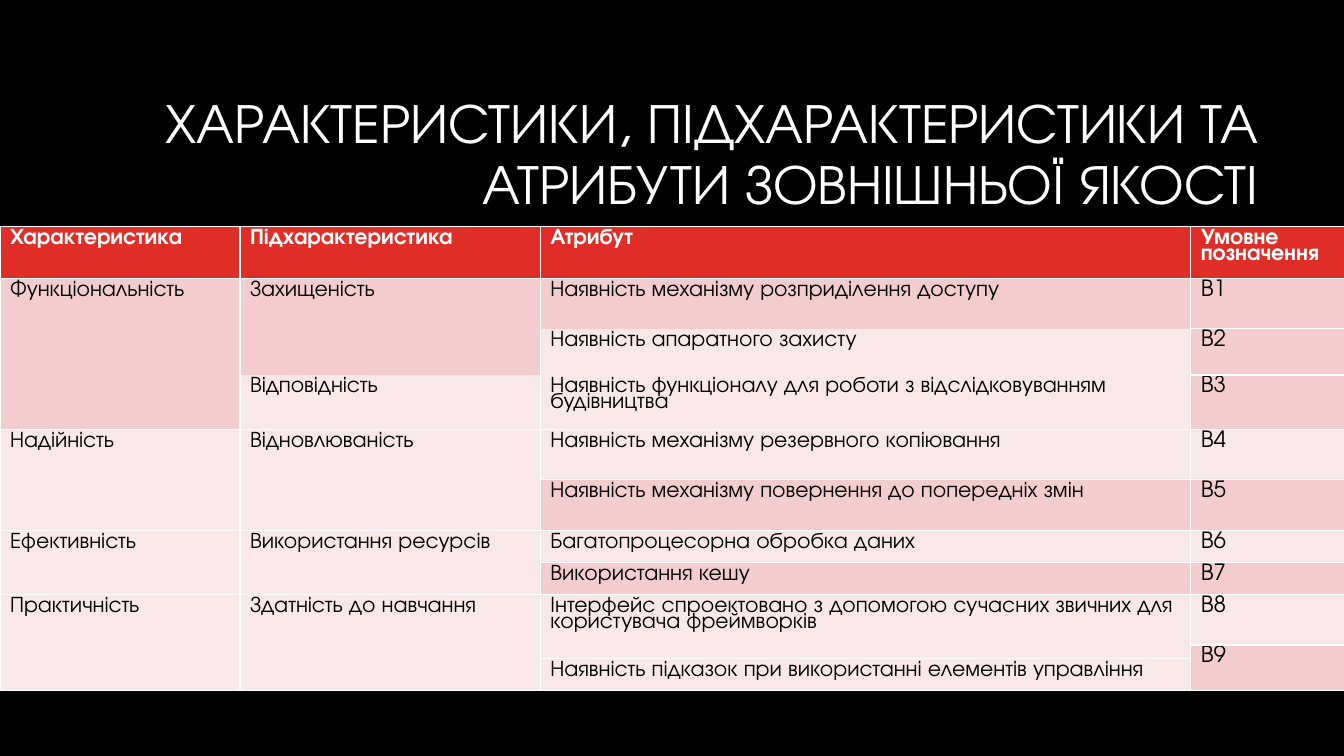
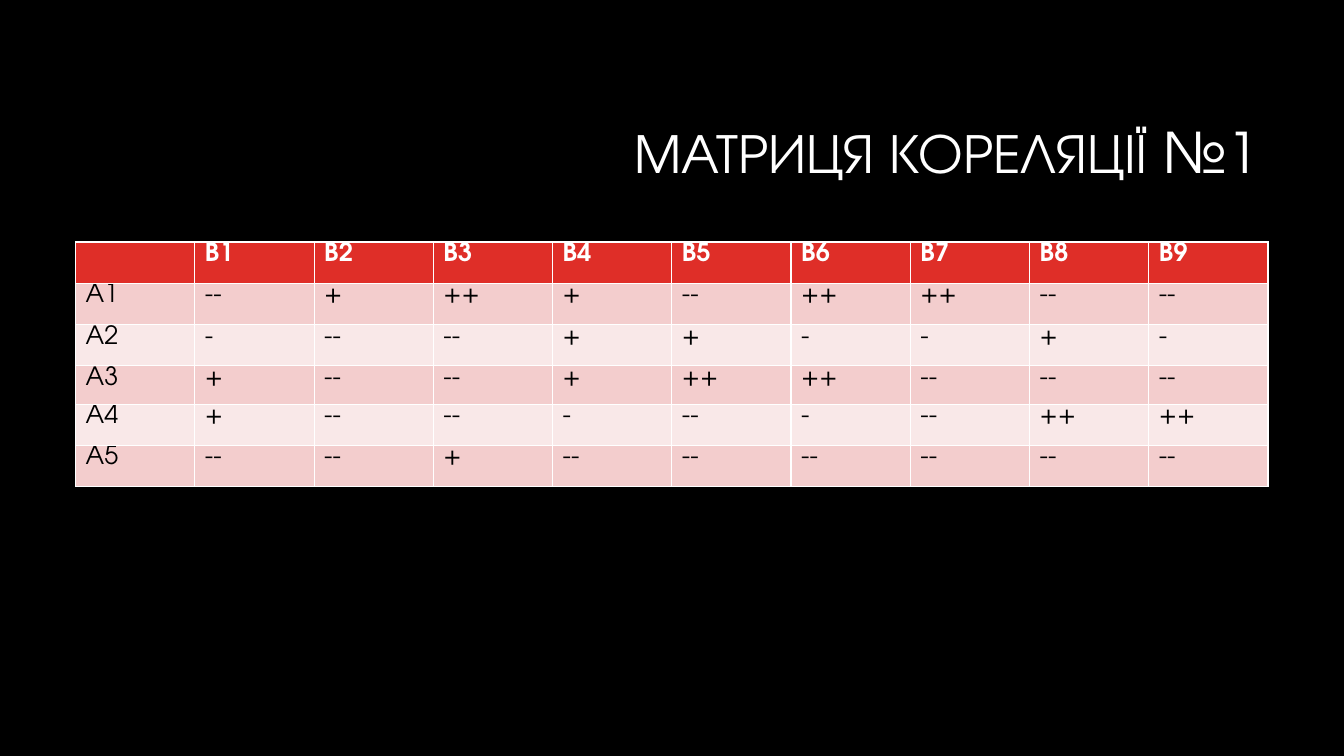
import pptx
import pptx.dml.color
import pptx.enum.text
import pptx.util

Inches = pptx.util.Inches
BLACK = pptx.dml.color.RGBColor(0x00, 0x00, 0x00)
WHITE = pptx.dml.color.RGBColor(0xFF, 0xFF, 0xFF)
RED = pptx.dml.color.RGBColor(0xDF, 0x2E, 0x28)
ROSE = pptx.dml.color.RGBColor(0xF3, 0xCD, 0xCD)
PALE = pptx.dml.color.RGBColor(0xF9, 0xE8, 0xE8)
FONT = "TeX Gyre Adventor"
WIDTH, HEIGHT = 13.33, 7.5
MARGIN = 0.75
CELL_LINE_SPACING = 0.77

presentation = pptx.Presentation()
presentation.slide_width = Inches(WIDTH)
presentation.slide_height = Inches(HEIGHT)


def write(paragraph, text, size, color, bold=False):
    run = paragraph.add_run()
    run.text = text
    run.font.name = FONT
    run.font.size = pptx.util.Pt(size)
    run.font.bold = bold
    run.font.color.rgb = color


def add_table_slide(title, table_left, table_top, columns, rows, cells, size):
    """Each cell is (row, column, text, fill, row span)."""
    slide = presentation.slides.add_slide(presentation.slide_layouts[6])
    slide.background.fill.solid()
    slide.background.fill.fore_color.rgb = BLACK

    # Title, right-aligned to the margin
    box = slide.shapes.add_textbox(Inches(MARGIN), Inches(0.84),
                                   Inches(WIDTH - 2 * MARGIN), Inches(1.41))
    frame = box.text_frame
    frame.word_wrap = True
    frame.vertical_anchor = pptx.enum.text.MSO_ANCHOR.MIDDLE
    paragraph = frame.paragraphs[0]
    paragraph.alignment = pptx.enum.text.PP_ALIGN.RIGHT
    paragraph.line_spacing = 0.9
    write(paragraph, title, 40, WHITE)

    # Table; the default style draws its white rules
    table = slide.shapes.add_table(
        len(rows), len(columns), Inches(table_left), Inches(table_top),
        Inches(sum(columns)), Inches(sum(rows))).table
    for column, width in zip(table.columns, columns):
        column.width = Inches(width)
    for row, height in zip(table.rows, rows):
        row.height = Inches(height)
    for row, column, text, fill, span in cells:
        cell = table.cell(row, column)
        if span > 1:
            cell.merge(table.cell(row + span - 1, column))
        cell.fill.solid()
        cell.fill.fore_color.rgb = fill
        if text:
            paragraph = cell.text_frame.paragraphs[0]
            paragraph.line_spacing = CELL_LINE_SPACING
            header = row == 0
            write(paragraph, text, size, WHITE if header else BLACK, header)


# Slide 1: quality characteristics
headings = ["Характеристика", "Підхарактеристика", "Атрибут", "Умовне позначення"]
quality_cells = [(0, column, text, RED, 1) for column, text in enumerate(headings)]
quality_cells += [
    (1, 0, "Функціональність", ROSE, 5),
    (1, 1, "Захищеність", ROSE, 3),
    (1, 2, "Наявність механізму розприділення доступу", ROSE, 1),
    (1, 3, "B1", ROSE, 2),
    (2, 2, "Наявність апаратного захисту", PALE, 2),
    (3, 3, "B2", ROSE, 2),
    (4, 1, "Відповідність", PALE, 2),
    (4, 2, "Наявність функціоналу для роботи з відслідковуванням будівництва", PALE, 2),
    (5, 3, "B3", ROSE, 1),
    (6, 0, "Надійність", PALE, 2),
    (6, 1, "Відновлюваність", PALE, 2),
    (6, 2, "Наявність механізму резервного копіювання", PALE, 1),
    (6, 3, "B4", PALE, 1),
    (7, 2, "Наявність механізму повернення до попередніх змін", ROSE, 1),
    (7, 3, "B5", ROSE, 1),
    (8, 0, "Ефективність", PALE, 2),
    (8, 1, "Використання ресурсів", PALE, 2),
    (8, 2, "Багатопроцесорна обробка даних", PALE, 1),
    (8, 3, "B6", PALE, 1),
    (9, 2, "Використання кешу", ROSE, 1),
    (9, 3, "B7", ROSE, 1),
    (10, 0, "Практичність", PALE, 3),
    (10, 1, "Здатність до навчання", PALE, 3),
    (10, 2, "Інтерфейс спроектовано з допомогою сучасних звичних для "
            "користувача фреймворків", PALE, 2),
    (10, 3, "B8", PALE, 1),
    (11, 3, "B9", ROSE, 2),
    (12, 2, "Наявність підказок при використанні елементів управління", PALE, 1),
]
add_table_slide(
    "ХАРАКТЕРИСТИКИ, ПІДХАРАКТЕРИСТИКИ ТА АТРИБУТИ ЗОВНІШНЬОЇ ЯКОСТІ",
    0, HEIGHT * 0.3, [2.38, 2.98, 6.45, 1.53],
    [0.5, 0.5, 0, 0.46, 0, 0.54, 0.5, 0.5, 0.32, 0.32, 0.5, 0.13, 0.32],
    quality_cells, 16)

# Slide 2: correlation matrix
matrix = [
    [""] + [f"B{number}" for number in range(1, 10)],
    ["A1", "--", "+", "++", "+", "--", "++", "++", "--", "--"],
    ["A2", "-", "--", "--", "+", "+", "-", "-", "+", "-"],
    ["A3", "+", "--", "--", "+", "++", "++", "--", "--", "--"],
    ["A4", "+", "--", "--", "-", "--", "-", "--", "++", "++"],
    ["A5", "--", "--", "+", "--", "--", "--", "--", "--", "--"],
]
matrix_cells = [
    (row, column, text, RED if row == 0 else (PALE, ROSE)[row % 2], 1)
    for row, texts in enumerate(matrix) for column, text in enumerate(texts)]
add_table_slide(
    "МАТРИЦЯ КОРЕЛЯЦІЇ №1", MARGIN, HEIGHT * 0.32,
    [(WIDTH - 2 * MARGIN) / 10] * 10, [0.41, 0.41, 0.41, 0.38, 0.41, 0.41],
    matrix_cells, 18)

presentation.save("out.pptx")
